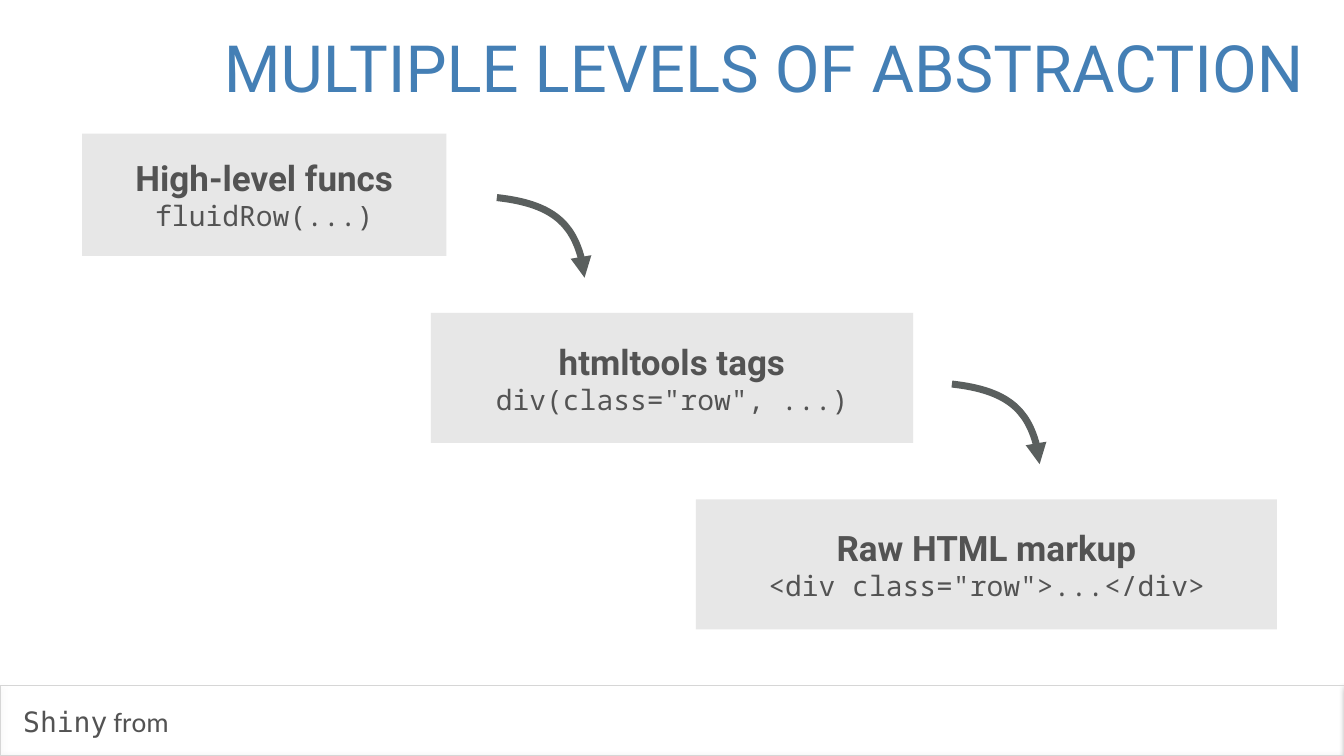
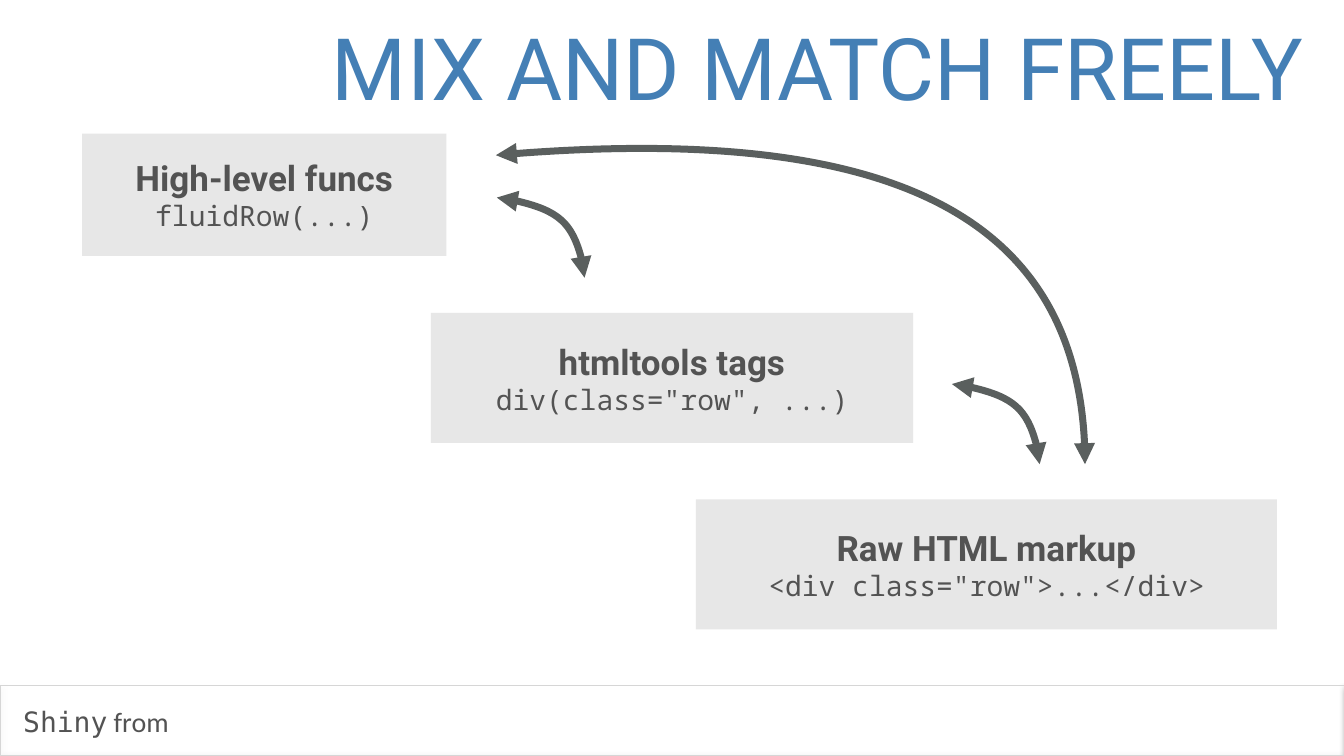
from dataclasses import dataclass

from lxml import etree
from pptx import Presentation
from pptx.dml.color import RGBColor
from pptx.enum import shapes, text
from pptx.oxml import ns
from pptx.util import Inches, Pt


@dataclass(frozen=True)
class Theme:
    blue: str = "447FB5"
    ink: str = "535353"
    panel: str = "E7E7E7"
    arrow: str = "5A5F5E"
    rule: str = "D6D6D6"
    sans: str = "Roboto"
    code: str = "Noto Sans Mono"
    footer_sans: str = "Calibri"
    footer_code: str = "DejaVu Sans Mono"
    heading_size: int = 50
    body_size: int = 40
    arrow_width: int = 10


T = Theme()
SLIDE_SIZE = (26.67, 15)
TITLE_BOX = (0.73, 0.23, 25.21, 2.18)
FOOTER_BAND = (0.01, 13.6, 26.67, 1.39)
FOOTER_BOX = (0.27, 13.93, 3.15, 0.78)
FOOTER_RUNS = [("Shiny", T.footer_code), (" from", T.footer_sans)]
INSET = 0.06

# heading, code, (left, top, width, height)
LEVELS = [
    ("High-level funcs", "fluidRow(...)", (1.63, 2.65, 7.23, 2.43)),
    ("htmltools tags", 'div(class="row", ...)', (8.55, 6.21, 9.57, 2.58)),
    ("Raw HTML markup", '<div class="row">...</div>', (13.81, 9.91, 11.53, 2.58)),
]

# Bezier curves: start, two control points, end
STEP_CURVE = [(0, 0), (1.09, 0.12), (1.67, 0.65), (1.74, 1.59)]
STEP_STARTS = [(9.86, 3.92), (18.89, 7.62)]
STEPS = [[(x + dx, y + dy) for dx, dy in STEP_CURVE] for x, y in STEP_STARTS]
LEAP = [(9.84, 3.08), (17.64, 2.4), (21.54, 4.44), (21.53, 9.21)]

# title, title size, arrow curves, arrowheads at both ends
SLIDES = [
    ("MULTIPLE LEVELS OF ABSTRACTION", 93, STEPS, False),
    ("MIX AND MATCH FREELY", 123, STEPS + [LEAP], True),
]


def rgb(color):
    return RGBColor.from_string(color)


def box(values):
    return [Inches(v) for v in values]


def style(r, font, size, color=T.ink, bold=False):
    r.font.name, r.font.size, r.font.bold = font, Pt(size), bold
    r.font.color.rgb = rgb(color)


def set_frame(tf, left=INSET):
    tf.word_wrap = True
    tf.auto_size = text.MSO_AUTO_SIZE.NONE
    tf.vertical_anchor = text.MSO_ANCHOR.MIDDLE
    tf.margin_left = Inches(left)
    tf.margin_top = tf.margin_right = tf.margin_bottom = Inches(INSET)


def add_rect(s, place):
    sp = s.shapes.add_shape(shapes.MSO_SHAPE.RECTANGLE, *box(place))
    sp.shadow.inherit = False
    return sp


def add_title(s, title, size):
    sp = s.shapes.title
    sp.left, sp.top, sp.width, sp.height = box(TITLE_BOX)
    tf = sp.text_frame
    tf.text = title
    set_frame(tf)
    p = tf.paragraphs[0]
    p.alignment = text.PP_ALIGN.RIGHT
    style(p.runs[0], T.sans, size, T.blue)


def add_footer(s):
    band = add_rect(s, FOOTER_BAND)
    band.fill.background()
    band.line.color.rgb = rgb(T.rule)
    band.line.width = Pt(1)
    effects = band._element.spPr.find(ns.qn("a:effectLst"))
    shadow = etree.SubElement(effects, ns.qn("a:outerShdw"), blurRad=str(Pt(4)),
                              dist=str(Pt(1.6)), dir="5400000", rotWithShape="0")
    black = etree.SubElement(shadow, ns.qn("a:srgbClr"), val="000000")
    etree.SubElement(black, ns.qn("a:alpha"), val="50000")

    tf = s.shapes.add_textbox(*box(FOOTER_BOX)).text_frame
    set_frame(tf, left=0.19)
    for words, font in FOOTER_RUNS:
        r = tf.paragraphs[0].add_run()
        r.text = words
        style(r, font, T.body_size)


def add_level(s, heading, code, place):
    sp = add_rect(s, place)
    sp.fill.solid()
    sp.fill.fore_color.rgb = rgb(T.panel)
    sp.line.fill.background()
    tf = sp.text_frame
    tf.text = f"{heading}\n{code}"
    set_frame(tf)
    for p in tf.paragraphs:
        p.alignment = text.PP_ALIGN.CENTER
    first, second = tf.paragraphs
    style(first.runs[0], T.sans, T.heading_size, bold=True)
    style(second.runs[0], T.code, T.body_size)


def bezier(curve, t):
    weights = ((1 - t) ** 3, 3 * t * (1 - t) ** 2, 3 * t * t * (1 - t), t ** 3)
    return [Inches(sum(w * pt[axis] for w, pt in zip(weights, curve)))
            for axis in (0, 1)]


def add_curve(s, curve, both_ends):
    """Size a freeform by points on the curve, then make it one Bezier segment."""
    points = [bezier(curve, i / 40) for i in range(41)]
    builder = s.shapes.build_freeform(*points[0])
    builder.add_line_segments(points[1:], close=False)
    sp = builder.convert_to_shape()
    sp.shadow.inherit = False
    sp.fill.background()
    sp.line.color.rgb = rgb(T.arrow)
    sp.line.width = Pt(T.arrow_width)

    outline = sp._element.spPr.find(".//" + ns.qn("a:path"))
    outline.set("fill", "none")
    for segment in outline.findall(ns.qn("a:lnTo")):
        outline.remove(segment)
    segment = etree.SubElement(outline, ns.qn("a:cubicBezTo"))
    for x, y in curve[1:]:
        etree.SubElement(segment, ns.qn("a:pt"), x=str(Inches(x) - sp.left),
                         y=str(Inches(y) - sp.top))

    ln = sp._element.spPr.find(ns.qn("a:ln"))
    for end in ("headEnd", "tailEnd") if both_ends else ("tailEnd",):
        etree.SubElement(ln, ns.qn("a:" + end), type="triangle")


def main():
    prs = Presentation()
    prs.slide_width, prs.slide_height = box(SLIDE_SIZE)
    for title, size, curves, both_ends in SLIDES:
        s = prs.slides.add_slide(prs.slide_layouts.get_by_name("Title Only"))
        add_footer(s)
        add_title(s, title, size)
        for level in LEVELS:
            add_level(s, *level)
        for curve in curves:
            add_curve(s, curve, both_ends)
    prs.save("out.pptx")


if __name__ == "__main__":
    main()
